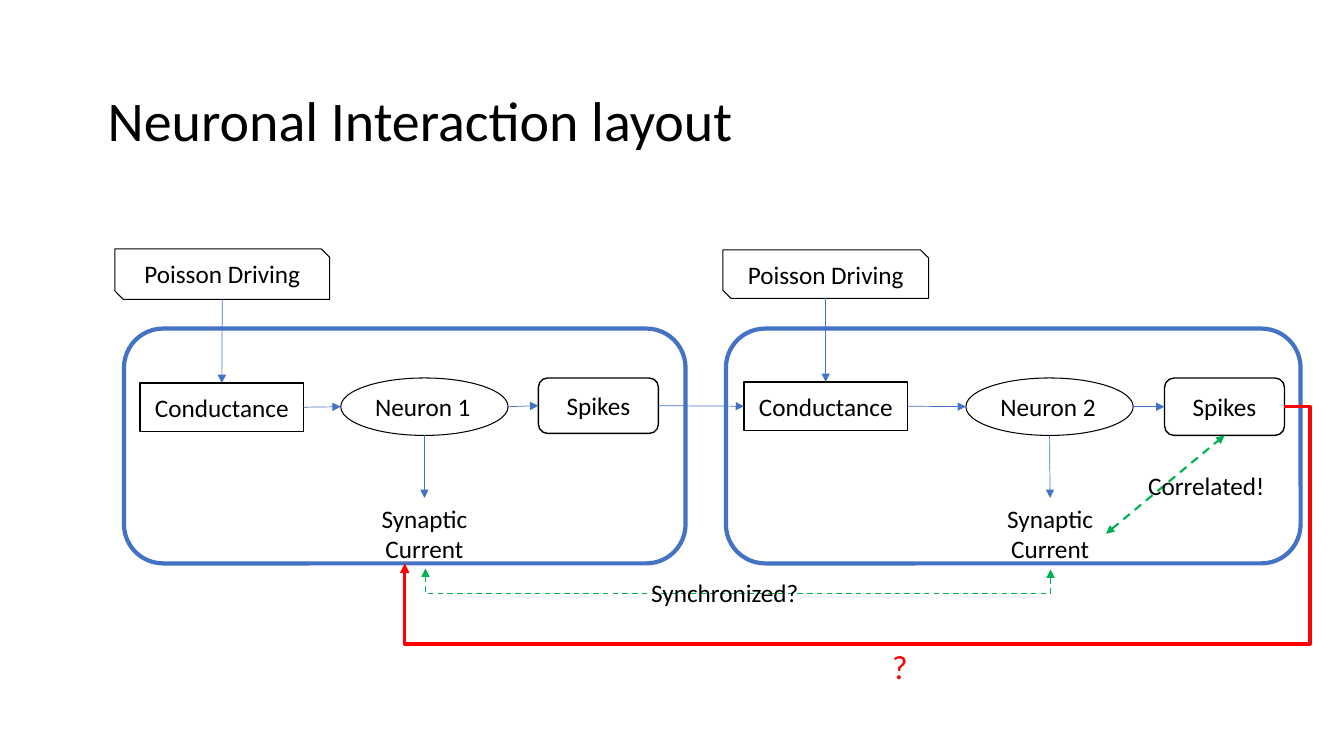
from pptx import Presentation, util as u
from pptx.dml.color import RGBColor
from pptx.enum import dml, shapes, text
from pptx.oxml.ns import qn
from lxml import etree

PX = 9144  # 100 px to the inch
BLACK, BLUE, GREEN, RED = "000000", "4472C4", "00B050", "FF0000"
TOP, LEFT, BOTTOM, RIGHT = range(4)

# kind: preset, line width, centred across, centred down
KINDS = {
    "cell": (shapes.MSO_SHAPE.OVAL, 0.75, False, False),
    "drive": (shapes.MSO_SHAPE.SNIP_2_DIAG_RECTANGLE, 0.75, True, False),
    "spikes": (shapes.MSO_SHAPE.ROUNDED_RECTANGLE, 1, True, True),
    "cond": (shapes.MSO_SHAPE.RECTANGLE, 1, True, True),
    "frame": (shapes.MSO_SHAPE.ROUNDED_RECTANGLE, 3, True, True),
}
JOINED = ("spikes", "cond", "frame", "current")

# kind, neuron number, words, box
NODES = [
    ("cell", 1, "Neuron 1", (338, 375, 166, 57)),
    ("cell", 2, "Neuron 2", (958, 375, 166, 57)),
    ("spikes", 1, "Spikes", (534, 375, 119, 55)),
    ("spikes", 2, "Spikes", (1155, 375, 119, 57)),
    ("drive", 1, "Poisson Driving", (114, 247, 213, 50)),
    ("drive", 2, "Poisson Driving", (717, 248, 204, 48)),
    ("cond", 1, "Conductance", (139, 380, 162, 48)),
    ("cond", 2, "Conductance", (738, 379, 162, 48)),
    ("current", 1, "Synaptic Current", (363, 494, 116, 71)),
    ("current", 2, "Synaptic Current", (986, 494, 111, 71)),
    ("frame", 1, "", (123, 326, 557, 233)),
    ("frame", 2, "", (720, 326, 570, 233)),
]

# steps inside each neuron
STEPS = [
    ("drive", BOTTOM, "cond", TOP),
    ("cond", RIGHT, "cell", LEFT),
    ("cell", RIGHT, "spikes", LEFT),
    ("cell", BOTTOM, "current", TOP),
]

SYNC = ((422, 564), (1042, 565), 589)  # start, end, height of the level run
LOOP = (1299, 639)  # right and lower edge of the feedback path

LABELS = [
    ("Neuronal Interaction layout", (97, 81, 702, 82),
     dict(size=40, middle=True, space=0.9)),
    ("Synchronized?", (636, 568, 168, 40), {}),
    ("Correlated!", (1129, 462, 140, 40), {}),
    ("?", (875, 636, 36, 50), dict(size=24, color=RED, wrap=False)),
]


def rgb(code):
    return RGBColor.from_string(code)


def write(shape, words, size=18, color=BLACK, center=False, middle=False,
          wrap=True, space=None):
    frame = shape.text_frame
    frame.word_wrap = wrap
    anchor = text.MSO_ANCHOR
    frame.vertical_anchor = anchor.MIDDLE if middle else anchor.TOP
    para = frame.paragraphs[0]
    para.alignment = text.PP_ALIGN.CENTER if center else text.PP_ALIGN.LEFT
    if space:
        para.line_spacing = space
    if words:
        run = para.add_run()
        run.text = words
        run.font.name = "Calibri"
        run.font.size = u.Pt(size)
        run.font.color.rgb = rgb(color)


def label(words, box, **form):
    shape = slide.shapes.add_textbox(*(n * PX for n in box))
    write(shape, words, **form)
    return shape


def node(kind, words, box):
    if kind == "current":
        return label(words, box, center=True)
    preset, width, center, middle = KINDS[kind]
    shape = slide.shapes.add_shape(preset, *(n * PX for n in box))
    shape.shadow.inherit = False
    shape.fill.background()
    shape.line.color.rgb = rgb(BLUE if kind == "frame" else BLACK)
    shape.line.width = u.Pt(width)
    write(shape, words, center=center, middle=middle)
    return shape


def arrow(start, end, color=BLUE, width=0.5, dash=False, both=False,
          bent=False):
    kind = shapes.MSO_CONNECTOR.ELBOW if bent else shapes.MSO_CONNECTOR.STRAIGHT
    line = slide.shapes.add_connector(
        kind, *(round(n * PX) for n in (*start, *end)))
    line.line.color.rgb = rgb(color)
    line.line.width = u.Pt(width)
    if dash:
        line.line.dash_style = dml.MSO_LINE.DASH
    props = line._element.spPr
    for tag in ("a:headEnd", "a:tailEnd")[0 if both else 1:]:
        etree.SubElement(props.find(qn("a:ln")), qn(tag), type="triangle")
    etree.SubElement(props, qn("a:effectLst"))
    return line


def side(key, spot):
    """Middle of one side of a node, in px."""
    x, y, w, h = boxes[key]
    return [(x + w / 2, y), (x, y + h / 2),
            (x + w / 2, y + h), (x + w, y + h / 2)][spot]


def link(src, out, dst, into, **form):
    """Arrow between the sides of two nodes, joined where they are boxes."""
    line = arrow(side(src, out), side(dst, into), **form)
    if src[0] in JOINED:
        line.begin_connect(made[src], out)
    if dst[0] in JOINED:
        line.end_connect(made[dst], into)
    return line


def bend(line, preset, *ratios):
    geom = line._element.spPr.find(qn("a:prstGeom"))
    geom.set("prst", preset)
    guides = geom.find(qn("a:avLst"))
    if guides is None:
        guides = etree.SubElement(geom, qn("a:avLst"))
    for i, ratio in enumerate(ratios, 1):
        etree.SubElement(guides, qn("a:gd"), name=f"adj{i}",
                         fmla=f"val {round(ratio * 100000)}")


def sync(start, end, level):
    """Dashed arrow that leaves downwards, runs level and comes back up."""
    line = arrow(start, end, color=GREEN, width=1, dash=True, both=True,
                 bent=True)
    wide, tall = end[0] - start[0], end[1] - start[1]
    line.left = round((start[0] + (wide - tall) / 2) * PX)
    line.top = round((start[1] + (tall - wide) / 2) * PX)
    line.width, line.height = tall * PX, wide * PX
    turn = line._element.spPr.find(qn("a:xfrm"))
    turn.set("rot", str(270 * 60000))
    turn.set("flipH", "1")
    bend(line, "bentConnector3", (level - start[1]) / tall)


def loop(src, dst, right, low):
    """Feedback arrow around the lower right corner."""
    line = link(src, RIGHT, dst, BOTTOM, color=RED, width=2.25, bent=True)
    (x, y), (x2, y2) = side(src, RIGHT), side(dst, BOTTOM)
    bend(line, "bentConnector4", (right - x) / (x2 - x), (low - y) / (y2 - y))


deck = Presentation()
deck.slide_width, deck.slide_height = u.Inches(13.33), u.Inches(7.5)
slide = deck.slides.add_slide(deck.slide_layouts[6])

boxes = {(kind, n): box for kind, n, _, box in NODES}
made = {(kind, n): node(kind, words, box) for kind, n, words, box in NODES}
for n in (1, 2):
    for src, out, dst, into in STEPS:
        link((src, n), out, (dst, n), into)
link(("spikes", 1), RIGHT, ("cond", 2), LEFT)
link(("current", 2), RIGHT, ("spikes", 2), BOTTOM,
     color=GREEN, width=1.5, dash=True, both=True)
sync(*SYNC)
loop(("spikes", 2), ("frame", 1), *LOOP)
for words, box, form in LABELS:
    label(words, box, **form)

deck.save("out.pptx")
